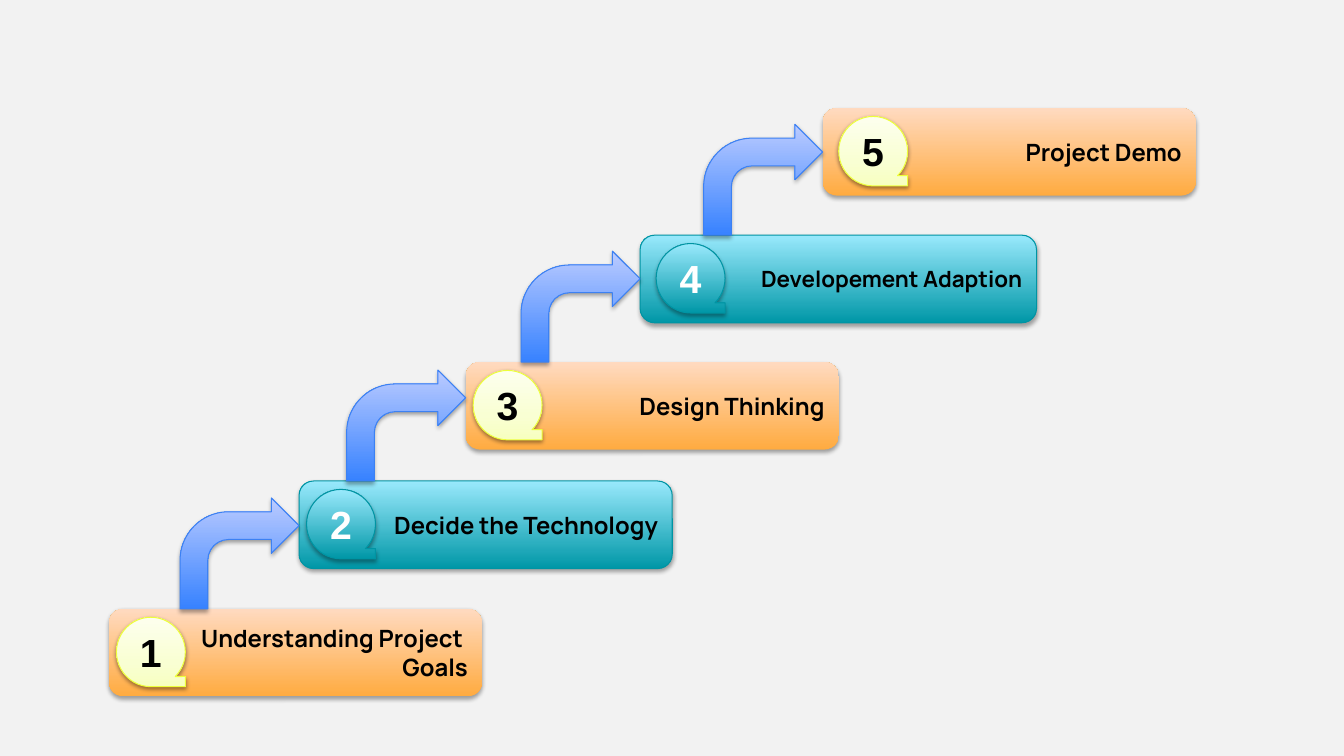
from lxml.etree import SubElement
from pptx import Presentation
from pptx.dml.color import RGBColor
from pptx.enum.shapes import MSO_SHAPE as SHAPE
from pptx.enum.text import MSO_ANCHOR as ANCHOR, PP_ALIGN as ALIGN
from pptx.oxml.ns import qn
from pptx.util import Pt

COLORS = {
    "background": "F2F2F2",
    "black": "000000",
    "white": "FFFFFF",
    "teal line": "0094A3",
    "yellow line": "EDFE3B",
    "blue line": "3C81F3",
}
# Gradient stops as percent and colour, from bottom to top
GRADIENTS = {
    "orange": [(0, "FFAB40"), (100, "FFDAC0")],
    "teal": [(0, "0097A7"), (100, "99E9FC")],
    "yellow": [(0, "F7FFC0"), (35, "F9FFD3"), (100, "FDFFEE")],
    "blue": [(0, "3782FF"), (100, "BBCBFF")],
}
# Bar left, top and width, badge indent, text size, lines of text
STEPS = [
    (77.8, 434.9, 266.6, 5.4, 17, ["Understanding Project ", "Goals"]),
    (213.6, 343.6, 266.6, 5.4, 17, ["Decide the Technology"]),
    (332.6, 258.6, 266.6, 5.4, 17, ["Design Thinking"]),
    (457.2, 168, 283.2, 11.5, 16, ["Developement Adaption"]),
    (587.6, 77.2, 266.6, 11.5, 17, ["Project Demo"]),
]
BAR_HEIGHT = 62.6
BADGE_WIDTH, BADGE_HEIGHT, BADGE_DROP = 49.2, 49.6, 6
ARROW_WIDTH, ARROW_HEIGHT = 85, 79.2


def color(name):
    return RGBColor.from_string(COLORS[name])


def add_shadow(shape, opacity, distance):
    shape.shadow.inherit = False
    effects = shape._element.spPr.find(qn("a:effectLst"))
    shadow = SubElement(effects, qn("a:outerShdw"), blurRad=str(Pt(3.1)),
                        dist=str(Pt(distance)), dir="5400000", rotWithShape="0")
    shade = SubElement(shadow, qn("a:srgbClr"), val=COLORS["black"])
    SubElement(shade, qn("a:alpha"), val=str(opacity * 1000))


def fill_gradient(shape, stops):
    shape.fill.gradient()
    shape.fill.gradient_angle = 90
    stop_list = shape._element.spPr.find(qn("a:gradFill")).find(qn("a:gsLst"))
    for old_stop in list(stop_list):
        stop_list.remove(old_stop)
    for percent, value in stops:
        stop = SubElement(stop_list, qn("a:gs"), pos=str(percent * 1000))
        SubElement(stop, qn("a:srgbClr"), val=value)


def add_block(slide, kind, box, gradient, line=None, opacity=35, distance=1.8):
    shape = slide.shapes.add_shape(kind, *(Pt(length) for length in box))
    fill_gradient(shape, GRADIENTS[gradient])
    if line:
        shape.line.color.rgb = color(line)
        shape.line.width = Pt(0.75)
    else:
        shape.line.fill.background()
    add_shadow(shape, opacity, distance)
    return shape


def write_text(shape, lines, font, size, ink, align):
    frame = shape.text_frame
    frame.word_wrap = True
    frame.vertical_anchor = ANCHOR.MIDDLE
    for index, line in enumerate(lines):
        paragraph = frame.add_paragraph() if index else frame.paragraphs[0]
        paragraph.alignment = align
        run = paragraph.add_run()
        run.text = line
        run.font.name = font
        run.font.size = Pt(size)
        run.font.bold = True
        run.font.color.rgb = color(ink)


def add_bar(slide, number, step):
    left, top, width, _, size, lines = step
    look = ("orange",) if number % 2 else ("teal", "teal line")
    bar = add_block(slide, SHAPE.ROUNDED_RECTANGLE,
                    (left, top, width, BAR_HEIGHT), *look)
    write_text(bar, lines, "Manrope", size, "black", ALIGN.RIGHT)


def add_badge(slide, number, step):
    left, top, _, indent, _, _ = step
    box = (left + indent, top + BADGE_DROP, BADGE_WIDTH, BADGE_HEIGHT)
    if number % 2:
        look, ink = ("yellow", "yellow line", 38, 1.6), "black"
    else:
        look, ink = ("teal", "teal line"), "white"
    badge = add_block(slide, SHAPE.FLOWCHART_SEQUENTIAL_ACCESS_STORAGE, box, *look)
    write_text(badge, [str(number)], "Arial", 28, ink, ALIGN.CENTER)


def add_arrow(slide, lower, upper):
    # Stands on the lower bar and points at the left edge of the upper one
    box = (upper[0] - ARROW_WIDTH, lower[1] - ARROW_HEIGHT,
           ARROW_WIDTH, ARROW_HEIGHT)
    add_block(slide, SHAPE.BENT_ARROW, box, "blue", "blue line")


def main():
    presentation = Presentation()
    presentation.slide_width, presentation.slide_height = Pt(960), Pt(540)
    slide = presentation.slides.add_slide(presentation.slide_layouts[6])
    slide.background.fill.solid()
    slide.background.fill.fore_color.rgb = color("background")

    # Staircase of bars, then their numbers, then the arrows between them
    for number, step in enumerate(STEPS, 1):
        add_bar(slide, number, step)
    for number, step in enumerate(STEPS, 1):
        add_badge(slide, number, step)
    for lower, upper in zip(STEPS, STEPS[1:]):
        add_arrow(slide, lower, upper)

    presentation.save("out.pptx")


if __name__ == "__main__":
    main()
